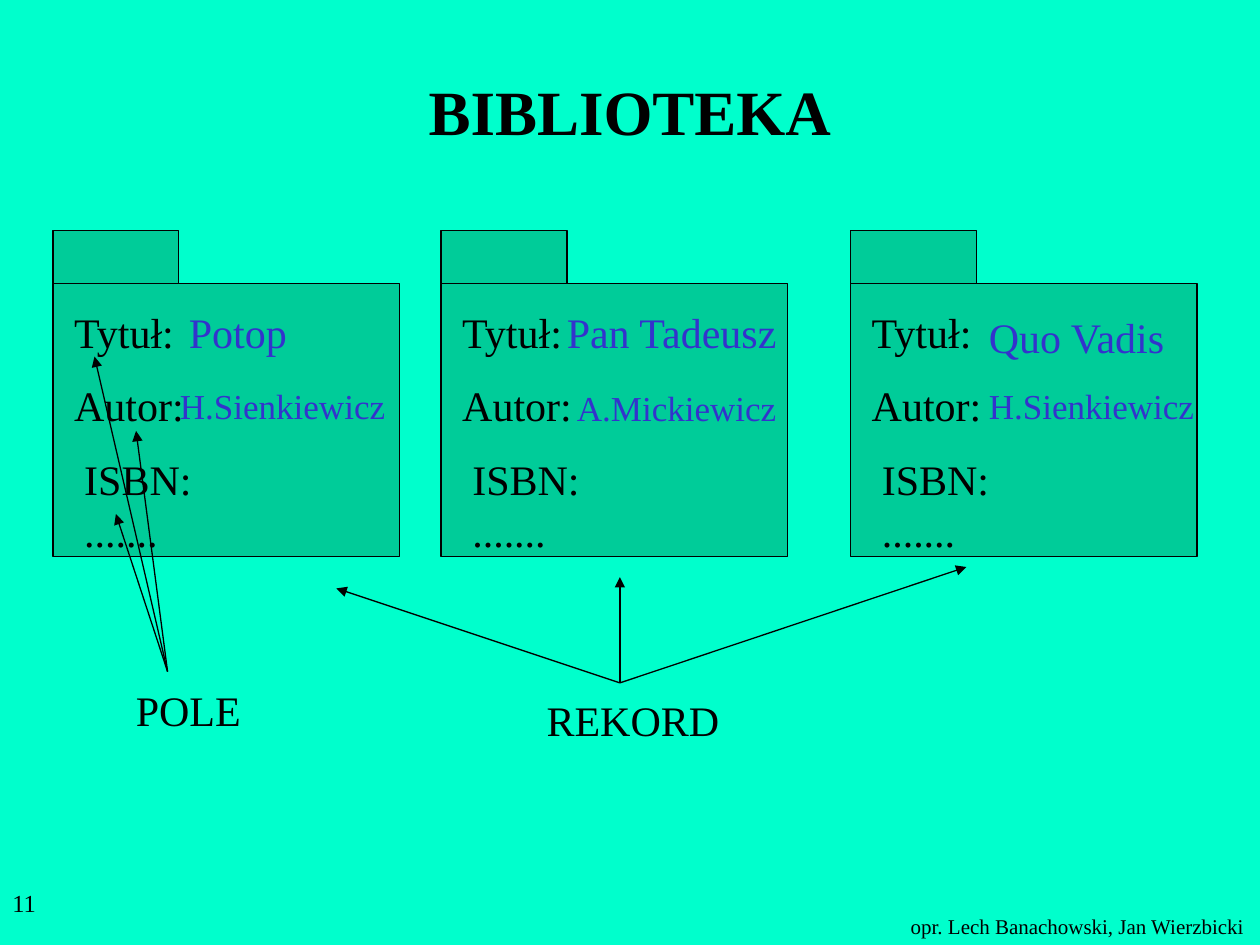
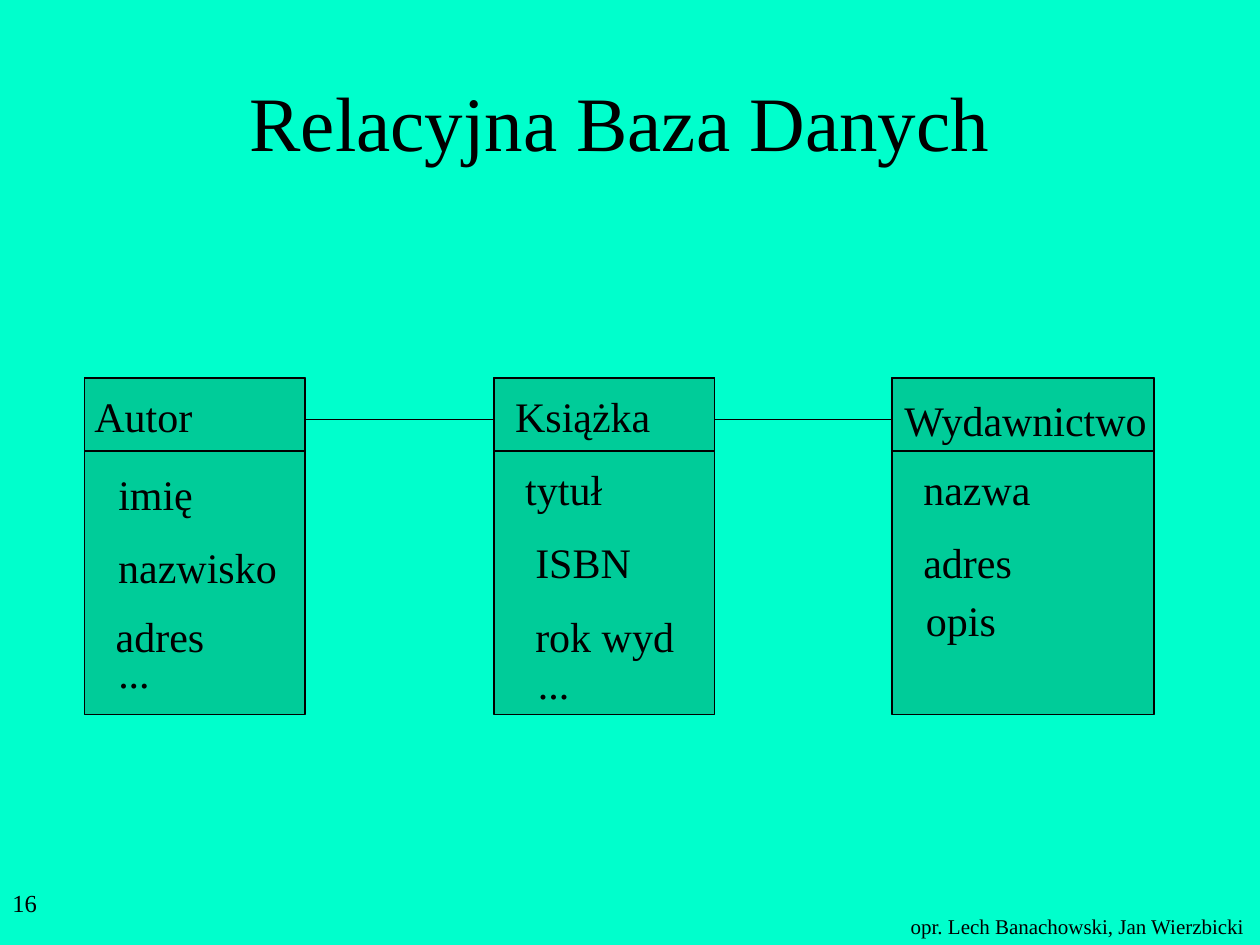
from lxml.etree import SubElement
from pptx import Presentation
from pptx.dml.color import RGBColor
from pptx.enum.shapes import MSO_CONNECTOR, MSO_SHAPE
from pptx.enum.text import MSO_ANCHOR, MSO_AUTO_SIZE, PP_ALIGN
from pptx.oxml.ns import qn
from pptx.util import Inches, Pt

MINT = RGBColor(0x00, 0xFF, 0xCC)
GREEN = RGBColor(0x00, 0xCC, 0x99)
BLACK = RGBColor(0x00, 0x00, 0x00)
BLUE = RGBColor(0x33, 0x33, 0xCC)
FONT = "Times New Roman"
WIDTH, HEIGHT = 10, 7.5
FOOTER = "opr. Lech Banachowski, Jan Wierzbicki"

FOLDER_LEFTS = [0.42, 3.5, 6.75]
FOLDER_TOP, TAB_WIDTH, TAB_HEIGHT = 1.83, 1, 0.42
FOLDER_WIDTH, FOLDER_HEIGHT = 2.75, 2.17
FOLDER_FIELDS = [
    ("Tytuł:", 0.07, 2.38, 1.01),
    ("Autor:", 0.07, 2.96, 1.07),
    ("ISBN:", 0.15, 3.55, 1.05),
    (".......", 0.15, 3.96, 0.78),
]
FIELD_VALUES = [
    ("Potop", 1.4, 2.38, 0.98, 24),
    ("H.Sienkiewicz", 1.33, 3, 1.83, 20),
    ("H.Sienkiewicz", 7.75, 3, 1.83, 20),
    ("Quo Vadis", 7.75, 2.42, 1.63, 24),
    ("Pan Tadeusz", 4.4, 2.38, 1.89, 24),
    ("A.Mickiewicz", 4.48, 3.02, 1.82, 20),
]
CAPTIONS = [
    (("POLE", 0.98, 5.38, 1.03), (1.33, 5.33),
     [(0.92, 4.08), (1.08, 3.42), (0.75, 2.83)]),
    (("REKORD", 4.24, 5.46, 1.57), (4.92, 5.42),
     [(2.67, 4.67), (4.92, 4.58), (7.67, 4.5)]),
]

ENTITY_TOP, ENTITY_HEIGHT, HEADER_HEIGHT = 3, 2.67, 0.58
RELATION_Y = 3.33
ENTITIES = [
    (0.67, 1.75, [
        ("Autor", -0.02, 3.05, 0.98),
        ("imię", 0.17, 3.67, 0.79),
        ("nazwisko", 0.17, 4.25, 1.46),
        ("adres", 0.15, 4.8, 0.9),
        ("...", 0.17, 5.08, 0.45),
    ]),
    (3.92, 1.75, [
        ("Książka", 0.07, 3.05, 1.27),
        ("tytuł", 0.15, 3.63, 0.81),
        ("ISBN", 0.23, 4.21, 0.96),
        ("rok wyd", 0.23, 4.8, 1.3),
        ("...", 0.25, 5.17, 0.45),
    ]),
    (7.08, 2.08, [
        ("Wydawnictwo", 0, 3.08, 2.14),
        ("nazwa", 0.15, 3.63, 1.05),
        ("adres", 0.15, 4.21, 0.9),
        ("opis", 0.17, 4.67, 0.8),
    ]),
]


def write(para, text, size, color=BLACK, bold=False):
    span = para.add_run()
    span.text = text
    span.font.name = FONT
    span.font.size = Pt(size)
    span.font.bold = bold
    span.font.color.rgb = color


def add_label(shapes, text, left, top, width, size=24, color=BLACK, height=0.5):
    box = shapes.add_textbox(Inches(left), Inches(top), Inches(width), Inches(height))
    box.text_frame.word_wrap = False
    box.text_frame.auto_size = MSO_AUTO_SIZE.SHAPE_TO_FIT_TEXT
    write(box.text_frame.paragraphs[0], text, size, color)
    return box


def add_panel(shapes, left, top, width, height):
    panel = shapes.add_shape(MSO_SHAPE.RECTANGLE, Inches(left), Inches(top),
                             Inches(width), Inches(height))
    panel.shadow.inherit = False
    panel.fill.solid()
    panel.fill.fore_color.rgb = GREEN
    panel.line.color.rgb = BLACK
    panel.line.width = Pt(0.75)


def add_line(shapes, start, end, arrow=False):
    line = shapes.add_connector(MSO_CONNECTOR.STRAIGHT,
                                *(Inches(value) for value in (*start, *end)))
    line.line.color.rgb = BLACK
    line.line.width = Pt(0.75)
    if arrow:
        SubElement(line.line._get_or_add_ln(), qn("a:tailEnd"), type="triangle")
    SubElement(line._element.spPr, qn("a:effectLst"))


def add_page(deck, number, title, left, top, size, bold=False):
    page = deck.slides.add_slide(deck.slide_layouts[5])
    heading = page.shapes.title
    heading.left, heading.top = Inches(left), Inches(top)
    heading.width, heading.height = Inches(8.5), Inches(1.25)
    frame = heading.text_frame
    frame.auto_size = MSO_AUTO_SIZE.NONE
    frame.vertical_anchor = MSO_ANCHOR.MIDDLE
    frame.paragraphs[0].alignment = PP_ALIGN.CENTER
    write(frame.paragraphs[0], title, size, bold=bold)
    add_label(page.shapes, FOOTER, 7.13, HEIGHT - 0.3, 2.86, size=12, height=0.3)
    page_number = add_label(page.shapes, number, 0, HEIGHT - 0.5, 2.08, size=14)
    page_number.text_frame.word_wrap = True
    page_number.text_frame.auto_size = MSO_AUTO_SIZE.NONE
    return page


def build_library(deck):
    page = add_page(deck, "11", "BIBLIOTEKA", 0.75, 0.25, 36, bold=True)
    for left in FOLDER_LEFTS:
        folder = page.shapes.add_group_shape().shapes
        add_panel(folder, left, FOLDER_TOP + TAB_HEIGHT, FOLDER_WIDTH, FOLDER_HEIGHT)
        add_panel(folder, left, FOLDER_TOP, TAB_WIDTH, TAB_HEIGHT)
        for text, indent, top, width in FOLDER_FIELDS:
            add_label(folder, text, left + indent, top, width)
    for label, start, targets in CAPTIONS:
        caption = page.shapes.add_group_shape().shapes
        add_label(caption, *label)
        for target in targets:
            add_line(caption, start, target, arrow=True)
    values = page.shapes.add_group_shape().shapes
    for text, left, top, width, size in FIELD_VALUES:
        add_label(values, text, left, top, width, size, BLUE, 0.5 if size == 24 else 0.44)


def build_database(deck):
    page = add_page(deck, "16", "Relacyjna Baza Danych", 0.67, 0.33, 44)
    for left, width, fields in ENTITIES:
        entity = page.shapes.add_group_shape().shapes
        for height in (ENTITY_HEIGHT, HEADER_HEIGHT):
            add_panel(entity, left, ENTITY_TOP, width, height)
        for text, indent, top, text_width in fields:
            add_label(entity, text, left + indent, top, text_width)
    for (left, width, _), (next_left, _, _) in zip(ENTITIES, ENTITIES[1:]):
        add_line(page.shapes, (left + width, RELATION_Y), (next_left, RELATION_Y))


def main():
    deck = Presentation()
    deck.slide_width, deck.slide_height = Inches(WIDTH), Inches(HEIGHT)
    background = deck.slide_master.background.fill
    background.solid()
    background.fore_color.rgb = MINT
    build_library(deck)
    build_database(deck)
    deck.save("out.pptx")


if __name__ == "__main__":
    main()
